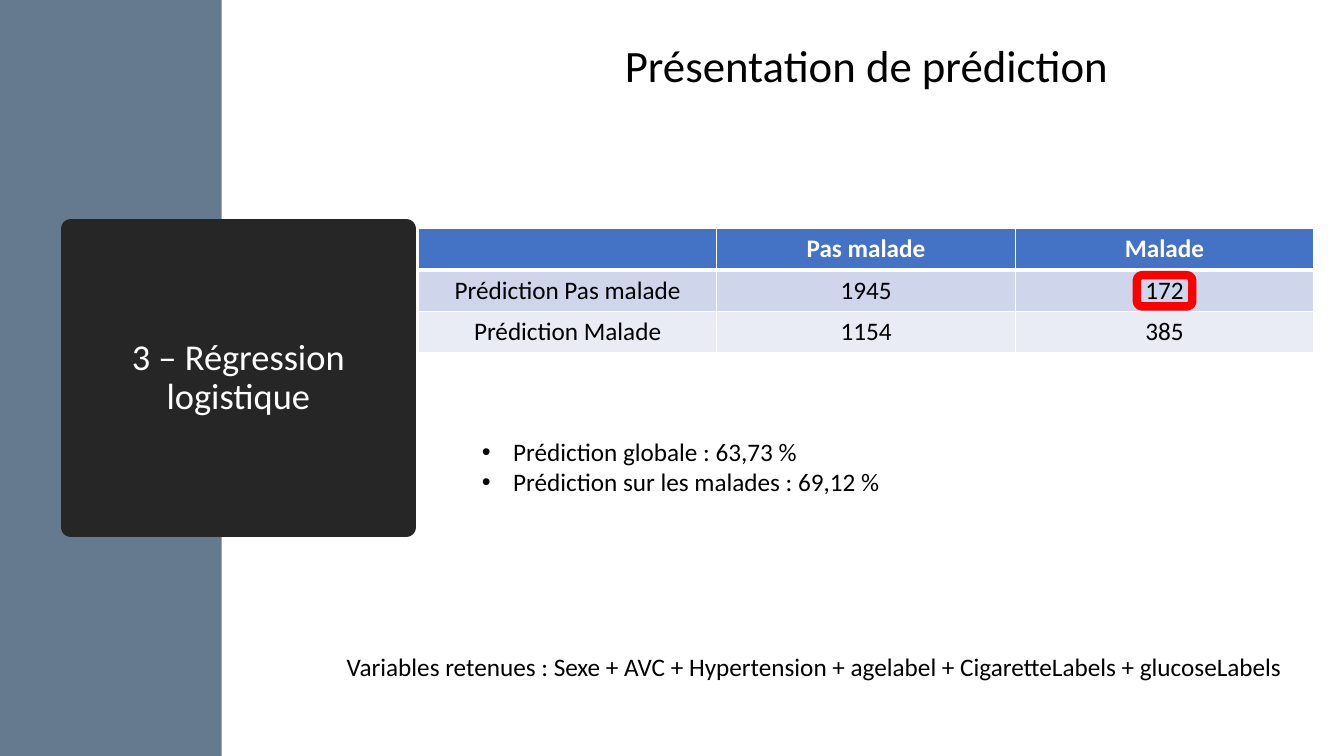
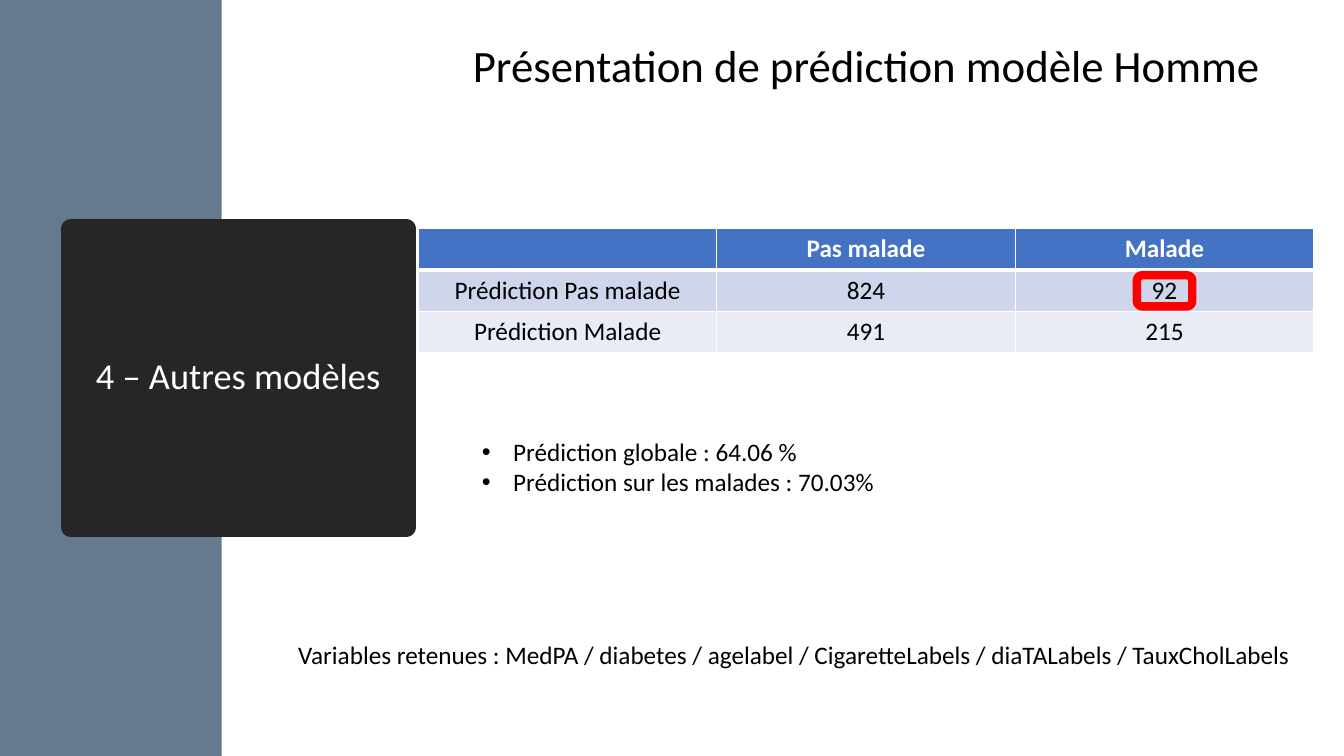
from lxml import etree
from pptx import Presentation
from pptx.dml.color import RGBColor
from pptx.enum.shapes import MSO_SHAPE
from pptx.enum.text import MSO_ANCHOR, MSO_AUTO_SIZE, PP_ALIGN
from pptx.oxml.ns import qn
from pptx.util import Inches, Pt

RECTANGLE, ROUNDED = MSO_SHAPE.RECTANGLE, MSO_SHAPE.ROUNDED_RECTANGLE
CENTER, LEFT = PP_ALIGN.CENTER, PP_ALIGN.LEFT
TOP, MIDDLE = MSO_ANCHOR.TOP, MSO_ANCHOR.MIDDLE
NO_AUTOFIT = MSO_AUTO_SIZE.NONE

# Content
COLUMN_NAMES = ("", "Pas malade", "Malade")
ROW_NAMES = ("Prédiction Pas malade", "Prédiction Malade")
SLIDES = [
    {
        "section": "3 – Régression logistique",
        "heading": "Présentation de prédiction",
        "counts": [("1945", "172"), ("1154", "385")],
        "scores": ["Prédiction globale : 63,73 %",
                   "Prédiction sur les malades : 69,12 %"],
        "variables": "Variables retenues : Sexe + AVC + Hypertension + agelabel"
                     " + CigaretteLabels + glucoseLabels",
        "variables_at": (3.34, 6.41),
    },
    {
        "section": "4 – Autres modèles",
        "heading": "Présentation de prédiction modèle Homme",
        "counts": [("824", "92"), ("491", "215")],
        "scores": ["Prédiction globale : 64.06 %",
                   "Prédiction sur les malades : 70.03%"],
        "variables": "Variables retenues : MedPA / diabetes / agelabel"
                     " / CigaretteLabels / diaTALabels / TauxCholLabels",
        "variables_at": (2.86, 6.29),
    },
]

# Shared look
BLACK = RGBColor(0x00, 0x00, 0x00)
WHITE = RGBColor(0xFF, 0xFF, 0xFF)
SLATE = RGBColor(0x65, 0x79, 0x8F)
CHARCOAL = RGBColor(0x26, 0x26, 0x26)
RED = RGBColor(0xFF, 0x00, 0x00)
HEADER_BLUE = RGBColor(0x44, 0x72, 0xC4)
ROW_FILLS = (HEADER_BLUE, RGBColor(0xCF, 0xD5, 0xEA), RGBColor(0xE9, 0xEB, 0xF5))

FONT = "Calibri"
SECTION_FONT = {"name": FONT, "size": Pt(26), "bold": False}
HEADING_FONT = {"name": FONT, "size": Pt(32), "bold": False}
BODY_FONT = {"name": FONT, "size": Pt(18), "bold": False}
HEADER_FONT = {**BODY_FONT, "bold": True}
SECTION_PARAGRAPH = {"alignment": CENTER, "line_spacing": 0.9}
HEADING_PARAGRAPH = {"alignment": CENTER, "space_after": Pt(6)}
CELL_PARAGRAPH = {"alignment": CENTER}
LIST_PARAGRAPH = {"alignment": LEFT, "space_before": Pt(0)}

# Positions in inches: left, top, width, height
SLIDE_WIDTH, SLIDE_HEIGHT = 13.33, 7.5
BAND_BOX = (0, 0, 2.2, SLIDE_HEIGHT)
SECTION_BOX = (0.7, 2.27, 3.33, 2.96)
HEADING_BOX = (3.86, 0.33, 9.47, 0.64)
SCORES_BOX = (4.68, 4.28, 7.5, 0.71)
TABLE_LEFT, TABLE_TOP = 4.15, 2.27
COLUMN_WIDTH, ROW_HEIGHT = 2.96, 0.41
MARKER_WIDTH, MARKER_HEIGHT = 0.55, 0.31
MARKED_ROW, MARKED_COLUMN = 1, 2
VARIABLES_HEIGHT = 0.4
BULLET_INDENT = 0.31


def inches(box):
    return [Inches(value) for value in box]


def place(shape, box):
    shape.left, shape.top, shape.width, shape.height = inches(box)


def apply_format(target, values):
    for name, value in values.items():
        setattr(target, name, value)


def write(frame, lines, font, color, paragraph_format, anchor=TOP):
    apply_format(frame, {"word_wrap": True, "auto_size": NO_AUTOFIT,
                         "vertical_anchor": anchor})
    frame.text = "\n".join(lines)
    for paragraph in frame.paragraphs:
        apply_format(paragraph, paragraph_format)
        for run in paragraph.runs:
            apply_format(run.font, font)
            run.font.color.rgb = color


def add_text(slide, box, text, font, paragraph_format):
    shape = slide.shapes.add_textbox(*inches(box))
    write(shape.text_frame, [text], font, BLACK, paragraph_format)


def add_band(slide):
    band = slide.shapes.add_shape(RECTANGLE, *inches(BAND_BOX))
    band.shadow.inherit = False
    band.fill.solid()
    band.fill.fore_color.rgb = SLATE
    band.line.fill.background()
    # Send the band behind the title
    slide.shapes._spTree.insert(2, band._element)


def format_section(title, text):
    place(title, SECTION_BOX)
    title.fill.solid()
    title.fill.fore_color.rgb = CHARCOAL
    title.line.color.rgb = CHARCOAL
    title.line.width = Pt(13.75)
    write(title.text_frame, [text], SECTION_FONT, WHITE, SECTION_PARAGRAPH, MIDDLE)


def format_scores(body, lines):
    place(body, SCORES_BOX)
    write(body.text_frame, lines, BODY_FONT, BLACK, LIST_PARAGRAPH)
    for paragraph in body.text_frame.paragraphs:
        properties = paragraph._p.get_or_add_pPr()
        properties.set("marL", str(Inches(BULLET_INDENT)))
        properties.set("indent", str(-Inches(BULLET_INDENT)))
        etree.SubElement(properties, qn("a:buFont"), typeface="Arial")
        etree.SubElement(properties, qn("a:buChar"), char="•")


def set_borders(cell, bottom_width, top_width):
    properties = cell._tc.get_or_add_tcPr()
    widths = {"a:lnL": 1, "a:lnR": 1, "a:lnT": top_width, "a:lnB": bottom_width}
    for position, (side, width) in enumerate(widths.items()):
        line = etree.Element(qn(side), w=str(Pt(width)))
        fill = etree.SubElement(line, qn("a:solidFill"))
        etree.SubElement(fill, qn("a:srgbClr"), val=str(WHITE))
        properties.insert(position, line)


def add_confusion_table(slide, counts):
    rows = [COLUMN_NAMES] + [(name, *values) for name, values in zip(ROW_NAMES, counts)]
    box = (TABLE_LEFT, TABLE_TOP,
           COLUMN_WIDTH * len(COLUMN_NAMES), ROW_HEIGHT * len(rows))
    table = slide.shapes.add_table(len(rows), len(COLUMN_NAMES), *inches(box)).table
    for column in table.columns:
        column.width = Inches(COLUMN_WIDTH)
    for row_index, texts in enumerate(rows):
        table.rows[row_index].height = Inches(ROW_HEIGHT)
        is_header = row_index == 0
        font, color = (HEADER_FONT, WHITE) if is_header else (BODY_FONT, BLACK)
        for column_index, text in enumerate(texts):
            cell = table.cell(row_index, column_index)
            cell.fill.solid()
            cell.fill.fore_color.rgb = ROW_FILLS[row_index]
            set_borders(cell, 3 if is_header else 1, 3 if row_index == 1 else 1)
            cell.text = text
            paragraph = cell.text_frame.paragraphs[0]
            apply_format(paragraph, CELL_PARAGRAPH)
            for run in paragraph.runs:
                apply_format(run.font, font)
                run.font.color.rgb = color


def add_marker(slide):
    center_x = TABLE_LEFT + COLUMN_WIDTH * (MARKED_COLUMN + 0.5)
    center_y = TABLE_TOP + ROW_HEIGHT * (MARKED_ROW + 0.5)
    box = (center_x - MARKER_WIDTH / 2, center_y - MARKER_HEIGHT / 2,
           MARKER_WIDTH, MARKER_HEIGHT)
    marker = slide.shapes.add_shape(ROUNDED, *inches(box))
    marker.shadow.inherit = False
    marker.fill.background()
    marker.line.color.rgb = RED
    marker.line.width = Pt(6)


def build_slide(presentation, content):
    slide = presentation.slides.add_slide(presentation.slide_layouts[1])
    add_band(slide)
    format_section(slide.shapes.title, content["section"])
    add_text(slide, HEADING_BOX, content["heading"], HEADING_FONT, HEADING_PARAGRAPH)
    add_confusion_table(slide, content["counts"])
    format_scores(slide.placeholders[1], content["scores"])
    add_marker(slide)
    left, top = content["variables_at"]
    variables_box = (left, top, SLIDE_WIDTH - left, VARIABLES_HEIGHT)
    add_text(slide, variables_box, content["variables"], BODY_FONT, LIST_PARAGRAPH)


def main():
    presentation = Presentation()
    presentation.slide_width = Inches(SLIDE_WIDTH)
    presentation.slide_height = Inches(SLIDE_HEIGHT)
    for content in SLIDES:
        build_slide(presentation, content)
    presentation.save("out.pptx")


if __name__ == "__main__":
    main()
